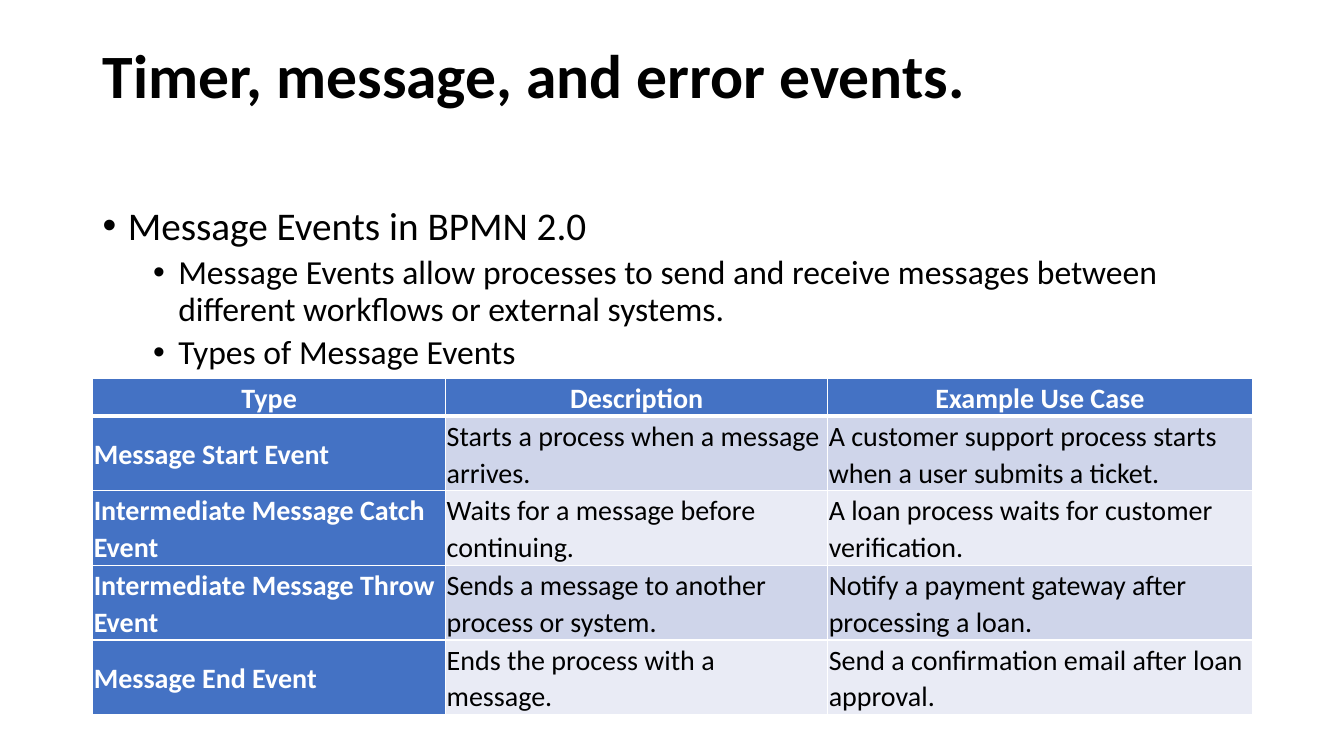
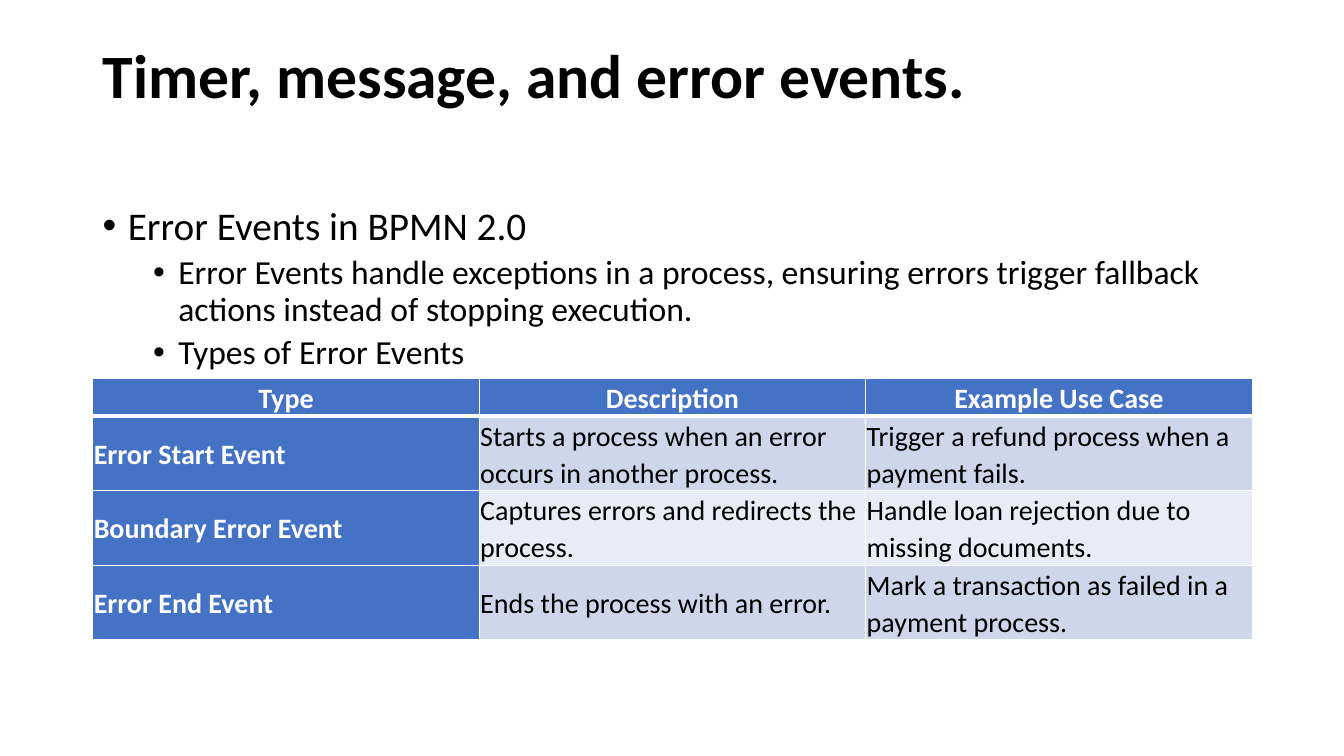
"""Build two slides on message and error events in BPMN 2.0."""
from dataclasses import dataclass

from lxml.etree import SubElement
from pptx import Presentation
from pptx.dml.color import RGBColor
from pptx.enum.text import MSO_ANCHOR, PP_ALIGN
from pptx.oxml.ns import qn
from pptx.util import Inches, Pt


@dataclass(frozen=True)
class Theme:
    font: str = "Calibri"
    ink: str = "000000"
    paper: str = "FFFFFF"
    accent: str = "4472C4"
    bands: tuple = ("CFD5EA", "E9EBF5")
    title_size: int = 44
    bullet_sizes: tuple = (28, 24)
    table_size: int = 20
    left: float = 0.92
    width: float = 11.5


def apply_format(target, values):
    for attribute, value in values.items():
        setattr(target, attribute, value)


class Deck:
    def __init__(self, theme):
        self.theme = theme
        self.presentation = Presentation()
        apply_format(self.presentation, {
            "slide_width": Inches(13.33), "slide_height": Inches(7.5)})
        self.slide = None

    def add_slide(self):
        self.slide = self.presentation.slides.add_slide(
            self.presentation.slide_layouts[6])

    def add_text(self, paragraph, text, size, color, bold=False, **spacing):
        apply_format(paragraph, spacing)
        run = paragraph.add_run()
        run.text = text
        apply_format(run.font, {
            "name": self.theme.font, "size": Pt(size), "bold": bold})
        run.font.color.rgb = RGBColor.from_string(color)

    def text_frame(self, top, height):
        frame = self.slide.shapes.add_textbox(
            Inches(self.theme.left), Inches(top),
            Inches(self.theme.width), Inches(height)).text_frame
        apply_format(frame, {
            "word_wrap": True, "vertical_anchor": MSO_ANCHOR.TOP})
        return frame

    def title(self, text):
        frame = self.text_frame(0.4, 1.45)
        self.add_text(frame.paragraphs[0], text, self.theme.title_size,
                      self.theme.ink, bold=True, line_spacing=0.9)

    def bullets(self, entries):
        frame = self.text_frame(2, 4.76)
        for index, (level, text) in enumerate(entries):
            paragraph = frame.add_paragraph() if index else frame.paragraphs[0]
            self.add_text(paragraph, text, self.theme.bullet_sizes[level],
                          self.theme.ink, level=level, line_spacing=0.9,
                          space_before=Pt(5 if level else 10))
            properties = paragraph._p.get_or_add_pPr()
            properties.set("marL", str(Inches(0.25 + 0.5 * level)))
            properties.set("indent", str(Inches(-0.25)))
            SubElement(properties, qn("a:buFont"), typeface="Arial")
            SubElement(properties, qn("a:buChar"), char="•")

    def borders(self, cell, row):
        properties = cell._tc.get_or_add_tcPr()
        widths = {"lnL": 1, "lnR": 1, "lnT": 3 if row == 1 else 1,
                  "lnB": 3 if row == 0 else 1}
        for edge, width in widths.items():
            line = SubElement(properties, qn(f"a:{edge}"), w=str(Pt(width)))
            fill = SubElement(line, qn("a:solidFill"))
            SubElement(fill, qn("a:srgbClr"), val=self.theme.paper)

    def cell(self, cell, text, row, column):
        heading = row == 0 or column == 0
        margins = ("margin_left", "margin_top", "margin_right", "margin_bottom")
        apply_format(cell, dict.fromkeys(margins, Inches(0.01)))
        cell.vertical_anchor = MSO_ANCHOR.MIDDLE
        self.borders(cell, row)
        cell.fill.solid()
        cell.fill.fore_color.rgb = RGBColor.from_string(
            self.theme.accent if heading else self.theme.bands[(row - 1) % 2])
        self.add_text(cell.text_frame.paragraphs[0], text,
                      self.theme.table_size,
                      self.theme.paper if heading else self.theme.ink,
                      bold=heading, line_spacing=1.07, space_after=Pt(8),
                      alignment=PP_ALIGN.CENTER if row == 0 else PP_ALIGN.LEFT)

    def table(self, rows, column_widths):
        heights = [0.38] + [0.74] * (len(rows) - 1)
        table = self.slide.shapes.add_table(
            len(rows), len(column_widths), Inches(self.theme.left),
            Inches(3.75), Inches(self.theme.width),
            Inches(sum(heights))).table
        for column, width in zip(table.columns, column_widths):
            column.width = Inches(width)
        for row, height in zip(table.rows, heights):
            row.height = Inches(height)
        for row, texts in enumerate(rows):
            for column, text in enumerate(texts):
                self.cell(table.cell(row, column), text, row, column)


HEADINGS = ("Type", "Description", "Example Use Case")

TOPICS = [
    {
        "name": "Message Events",
        "summary": "Message Events allow processes to send and receive messages "
                   "between different workflows or external systems.",
        "column_widths": (3.5, 3.79, 4.21),
        "events": [
            ("Message Start Event",
             "Starts a process when a message arrives.",
             "A customer support process starts when a user submits a ticket."),
            ("Intermediate Message Catch Event",
             "Waits for a message before continuing.",
             "A loan process waits for customer verification."),
            ("Intermediate Message Throw Event",
             "Sends a message to another process or system.",
             "Notify a payment gateway after processing a loan."),
            ("Message End Event",
             "Ends the process with a message.",
             "Send a confirmation email after loan approval."),
        ],
    },
    {
        "name": "Error Events",
        "summary": "Error Events handle exceptions in a process, ensuring errors "
                   "trigger fallback actions instead of stopping execution.",
        "column_widths": (Theme.width / 3,) * 3,
        "events": [
            ("Error Start Event",
             "Starts a process when an error occurs in another process.",
             "Trigger a refund process when a payment fails."),
            ("Boundary Error Event",
             "Captures errors and redirects the process.",
             "Handle loan rejection due to missing documents."),
            ("Error End Event",
             "Ends the process with an error.",
             "Mark a transaction as failed in a payment process."),
        ],
    },
]


def main():
    deck = Deck(Theme())
    for topic in TOPICS:
        deck.add_slide()
        deck.title("Timer, message, and error events.")
        deck.bullets([
            (0, f"{topic['name']} in BPMN 2.0"),
            (1, topic["summary"]),
            (1, f"Types of {topic['name']}"),
        ])
        deck.table([HEADINGS, *topic["events"]], topic["column_widths"])
    deck.presentation.save("out.pptx")


if __name__ == "__main__":
    main()
